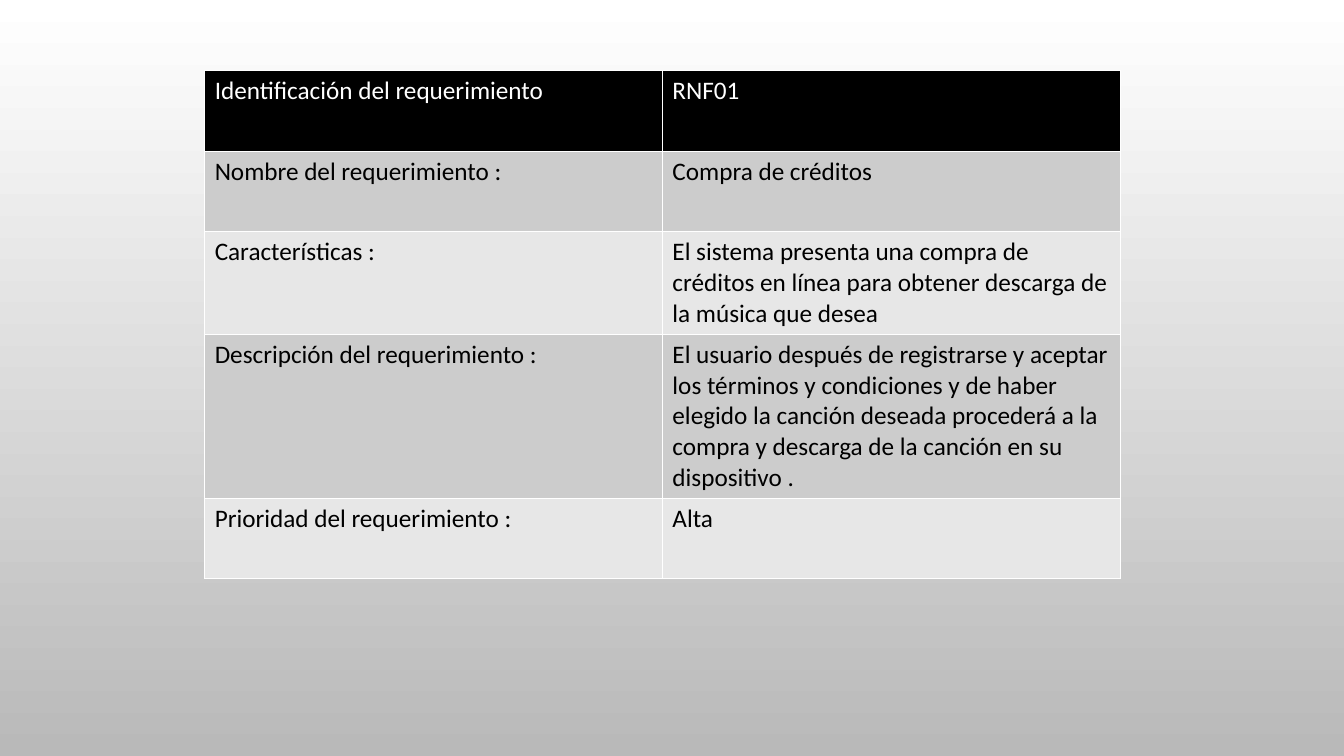
"""Build a slide with the requirement sheet for buying credits."""
from pptx import Presentation
from pptx.dml.color import RGBColor
from pptx.util import Inches, Pt

FONT = "Calibri"
HEADER_FILL = "000000"
BAND_FILLS = ("CCCCCC", "E7E7E7")
ROW_HEIGHT = 0.8
REQUIREMENT = [
    ("Identificación del requerimiento", "RNF01"),
    ("Nombre del requerimiento :", "Compra de créditos"),
    ("Características :",
     "El sistema presenta una compra de créditos en línea para obtener "
     "descarga de la música que desea"),
    ("Descripción del requerimiento :",
     "El usuario después de registrarse y aceptar los términos y condiciones "
     "y de haber elegido la canción deseada procederá a la compra y descarga "
     "de la canción en su dispositivo ."),
    ("Prioridad del requerimiento :", "Alta"),
]


def color(hex_code):
    return RGBColor.from_string(hex_code)


def paint_background(slide, top, bottom):
    fill = slide.background.fill
    fill.gradient()
    fill.gradient_angle = 270
    for stop, shade, position in zip(fill.gradient_stops, (top, bottom), (0, 1)):
        stop.color.rgb = color(shade)
        stop.position = position


def fill_cell(cell, text, background, ink):
    cell.fill.solid()
    cell.fill.fore_color.rgb = color(background)
    cell.text_frame.text = text
    font = cell.text_frame.paragraphs[0].runs[0].font
    font.name = FONT
    font.size = Pt(18)
    font.bold = False
    font.color.rgb = color(ink)


def add_requirement_table(slide, left, top, width):
    row_count = len(REQUIREMENT)
    table = slide.shapes.add_table(
        row_count, 2, Inches(left), Inches(top),
        Inches(width), Inches(ROW_HEIGHT * row_count)).table
    for row, entry in enumerate(REQUIREMENT):
        is_header = row == 0
        background = HEADER_FILL if is_header else BAND_FILLS[(row - 1) % 2]
        ink = "FFFFFF" if is_header else "000000"
        for column, text in enumerate(entry):
            fill_cell(table.cell(row, column), text, background, ink)


def main():
    presentation = Presentation()
    presentation.slide_width = Inches(13.33)
    presentation.slide_height = Inches(7.5)
    slide = presentation.slides.add_slide(presentation.slide_layouts[6])
    paint_background(slide, "FFFFFF", "B9B9B9")
    add_requirement_table(slide, 2.03, 0.7, 9.08)
    presentation.save("out.pptx")


if __name__ == "__main__":
    main()
